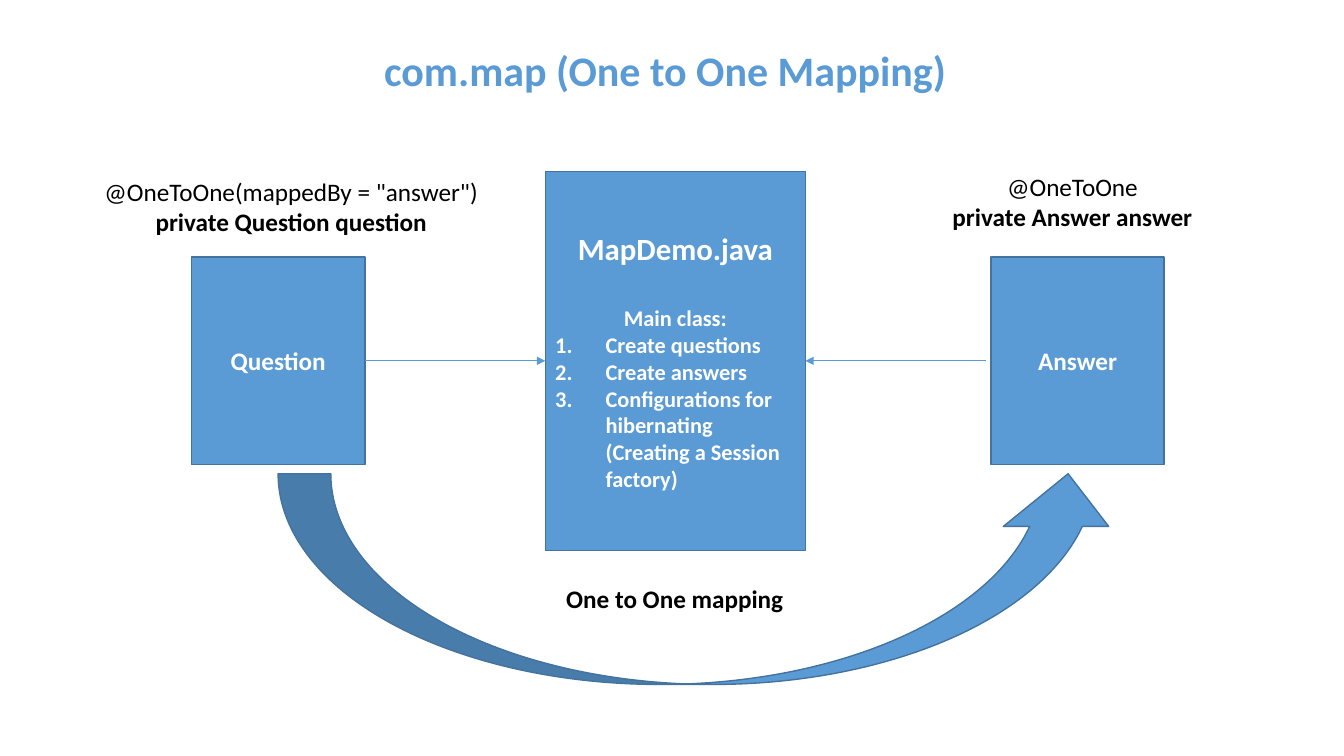
from dataclasses import dataclass

import lxml.etree
import pptx
import pptx.dml.color
import pptx.enum.shapes
import pptx.enum.text
import pptx.oxml.ns
import pptx.presentation
import pptx.shapes.autoshape
import pptx.slide
import pptx.text.text
import pptx.util

Pt = pptx.util.Pt
ALIGN = pptx.enum.text.PP_ALIGN
MIDDLE = pptx.enum.text.MSO_ANCHOR.MIDDLE
SHAPE = pptx.enum.shapes.MSO_SHAPE
COLORS = {"blue": "5B9BD5", "outline": "43739E", "white": "FFFFFF", "black": "000000"}
FONT = "Calibri"
TOP, LEFT, RIGHT = 0, 1, 3  # connection sites
LIST_INDENT = 36


@dataclass
class Block:
    left: float
    top: float
    width: float
    height: float
    kind: pptx.enum.shapes.MSO_SHAPE = SHAPE.RECTANGLE
    label: str = ""
    size: float = 18


@dataclass
class Caption:
    left: float
    top: float
    width: float
    height: float
    lines: list[tuple[str, bool]]
    wrap: bool = False


MAIN = Block(389.5, 122.4, 185.8, 270.72, label="MapDemo.java", size=22)
QUESTION = Block(136.8, 183.6, 123.84, 148.32, label="Question")
ANSWER = Block(707.76, 183.6, 123.84, 148.32, label="Answer")
MAPPING_ARROW = Block(198.72, 338.4, 601.9, 150.5, SHAPE.CURVED_UP_ARROW)
ANSWER_GAP = 3.6

STEPS = [
    "Create questions",
    "Create answers",
    "Configurations for hibernating (Creating a Session factory)",
]
CAPTIONS = [
    Caption(396.7, 413.3, 170.6, 28.8, [("One to One mapping", True)]),
    Caption(66.2, 122.4, 283.7, 51.1, wrap=True, lines=[
        ('@OneToOne(mappedBy = "answer")', False),
        ("private Question question", True)]),
    Caption(672.5, 118.8, 187.2, 51.1, [
        ("@OneToOne", False),
        ("private Answer answer", True)]),
]


def rgb(name: str) -> pptx.dml.color.RGBColor:
    return pptx.dml.color.RGBColor.from_string(COLORS[name])


def add_text(tf: pptx.text.text.TextFrame, text: str, *, size: float = 18,
             color: str = "black", bold: bool = True, align: ALIGN = ALIGN.CENTER,
             before: float = 0, spacing: float = 1, numbered: bool = False) -> None:
    """Fill the first paragraph if it is empty, otherwise append one."""
    p = tf.paragraphs[0]
    if p.runs:
        p = tf.add_paragraph()
    p.alignment = align
    p.line_spacing = spacing
    if before:
        p.space_before = Pt(before)
    if numbered:
        pPr = p._p.get_or_add_pPr()
        pPr.set("marL", str(Pt(LIST_INDENT)))
        pPr.set("indent", str(-Pt(LIST_INDENT)))
        bullet = lxml.etree.SubElement(pPr, pptx.oxml.ns.qn("a:buAutoNum"))
        bullet.set("type", "arabicPeriod")
    r = p.add_run()
    r.text = text
    r.font.name = FONT
    r.font.size = Pt(size)
    r.font.bold = bold
    r.font.color.rgb = rgb(color)


def add_block(s: pptx.slide.Slide, block: Block) -> pptx.shapes.autoshape.Shape:
    sp = s.shapes.add_shape(block.kind, Pt(block.left), Pt(block.top),
                            Pt(block.width), Pt(block.height))
    sp.shadow.inherit = False
    sp.fill.solid()
    sp.fill.fore_color.rgb = rgb("blue")
    sp.line.color.rgb = rgb("outline")
    sp.line.width = Pt(1)
    if block.label:
        sp.text_frame.word_wrap = True
        sp.text_frame.vertical_anchor = MIDDLE
        add_text(sp.text_frame, block.label, size=block.size, color="white")
    return sp


def add_caption(s: pptx.slide.Slide, caption: Caption) -> None:
    sp = s.shapes.add_textbox(Pt(caption.left), Pt(caption.top),
                              Pt(caption.width), Pt(caption.height))
    tf = sp.text_frame
    tf.word_wrap = caption.wrap
    tf.auto_size = pptx.enum.text.MSO_AUTO_SIZE.SHAPE_TO_FIT_TEXT
    for text, bold in caption.lines:
        add_text(tf, text, bold=bold)


def add_arrow(s: pptx.slide.Slide, x: float, y: float,
              target: pptx.shapes.autoshape.Shape, site: int):
    """Draw an arrow from a point to a connection site of the target."""
    cxn = s.shapes.add_connector(pptx.enum.shapes.MSO_CONNECTOR.STRAIGHT,
                                 Pt(x), Pt(y), Pt(x), Pt(y))
    cxn.end_connect(target, site)
    cxn.line.color.rgb = rgb("blue")
    cxn.line.width = Pt(0.5)
    tail = lxml.etree.SubElement(cxn.line._get_or_add_ln(), pptx.oxml.ns.qn("a:tailEnd"))
    tail.set("type", "triangle")
    lxml.etree.SubElement(cxn._element.spPr, pptx.oxml.ns.qn("a:effectLst"))
    return cxn


def add_title(s: pptx.slide.Slide, text: str) -> None:
    sp = s.shapes.title
    sp.left, sp.top, sp.width, sp.height = Pt(61.2), Pt(0), Pt(828), Pt(104.4)
    sp.text_frame.vertical_anchor = MIDDLE
    add_text(sp.text_frame, text, size=30, color="blue", spacing=0.9)


def main() -> None:
    prs = pptx.Presentation()
    prs.slide_width, prs.slide_height = Pt(960), Pt(540)
    s = prs.slides.add_slide(prs.slide_layouts[5])
    add_title(s, "com.map (One to One Mapping)")

    demo = add_block(s, MAIN)
    add_text(demo.text_frame, "Main class:", size=16, color="white", before=26.8)
    for step in STEPS:
        add_text(demo.text_frame, step, size=16, color="white",
                 align=ALIGN.LEFT, numbered=True)
    question = add_block(s, QUESTION)
    add_block(s, ANSWER)

    middle = MAIN.top + MAIN.height / 2
    cxn = add_arrow(s, QUESTION.left + QUESTION.width, middle, demo, LEFT)
    cxn.begin_connect(question, RIGHT)
    add_arrow(s, ANSWER.left - ANSWER_GAP, middle, demo, RIGHT)

    add_block(s, MAPPING_ARROW)
    for caption in CAPTIONS:
        add_caption(s, caption)
    prs.save("out.pptx")


if __name__ == "__main__":
    main()
